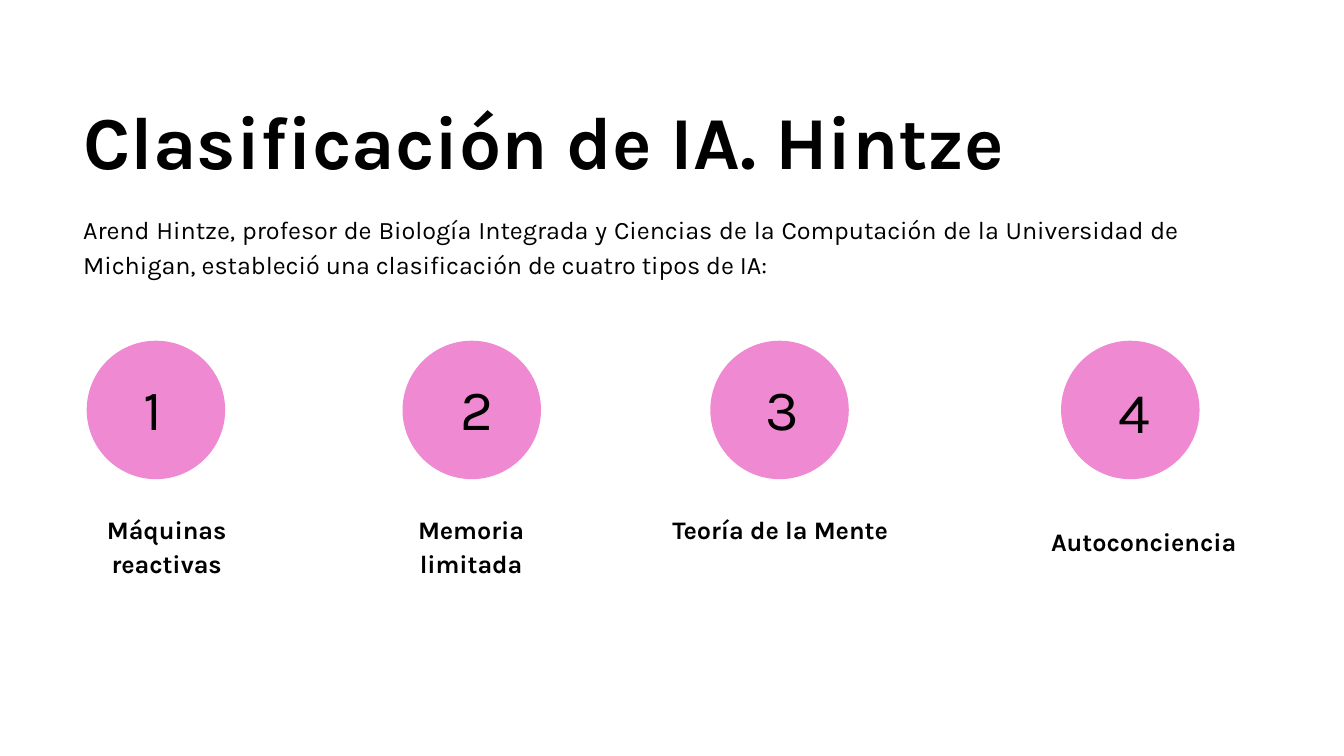
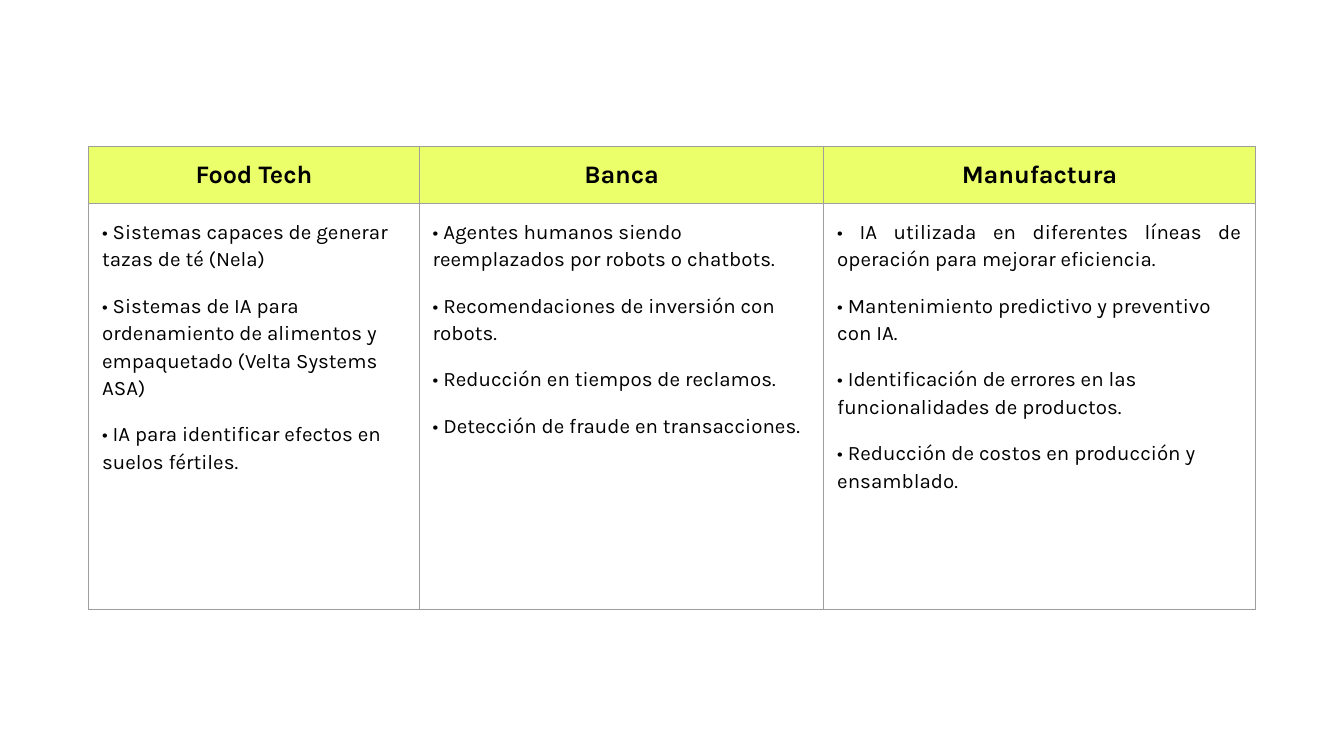
"""Build two slides: four types of AI, and AI uses by industry."""
from dataclasses import dataclass

from lxml.etree import SubElement
from pptx import Presentation
from pptx.dml.color import RGBColor
from pptx.enum.shapes import MSO_SHAPE as Preset
from pptx.enum.text import MSO_ANCHOR as Anchor, PP_ALIGN as Align
from pptx.oxml.ns import qn
from pptx.slide import Slide
from pptx.table import _Cell as Cell
from pptx.text.text import TextFrame
from pptx.util import Inches, Pt


@dataclass(frozen=True)
class Theme:
    font: str = "Karla"
    ink: str = "000000"
    paper: str = "FFFFFF"
    pink: str = "EF89D2"
    lime: str = "EAFF6A"
    border: str = "9E9E9E"
    title: float = 40
    number: float = 30.5
    body: float = 13.5
    item: float = 11
    hairline: float = 0.75
    leading: float = 1.15
    gap: float = 10
    inset: float = 0.1


@dataclass(frozen=True)
class Box:
    left: float
    top: float
    width: float
    height: float

    def lengths(self) -> tuple:
        return tuple(Inches(v) for v in (self.left, self.top, self.width, self.height))


@dataclass(frozen=True)
class AiType:
    name: str
    circle_left: float
    number: Box
    label: Box
    leading: float = 1.15


@dataclass(frozen=True)
class Industry:
    name: str
    width: float
    uses: tuple
    first_align: Align = Align.LEFT


THEME = Theme()
SLIDE_WIDTH = 10
SLIDE_HEIGHT = SLIDE_WIDTH * 9 / 16
CIRCLE_TOP, CIRCLE_SIZE = 2.54, 1.02
HEADER_HEIGHT, BODY_HEIGHT = 0.41, 3.02
TABLE_LEFT, TABLE_TOP = 0.66, 1.09

AI_TYPES = (
    AiType("Máquinas\nreactivas", 0.65, Box(0.97, 2.68, 0.49, 0.72),
           Box(0.59, 3.69, 1.3, 0.69)),
    AiType("Memoria limitada", 3, Box(3.33, 2.68, 0.58, 0.72),
           Box(2.92, 3.69, 1.17, 0.69)),
    AiType("Teoría de la Mente", 5.29, Box(5.6, 2.68, 0.49, 0.72),
           Box(4.74, 3.69, 2.13, 0.43)),
    AiType("Autoconciencia", 7.9, Box(8.22, 2.7, 0.49, 0.72),
           Box(7.56, 3.82, 1.9, 0.43), leading=1),
)

INDUSTRIES = (
    Industry("Food Tech", 2.46, (
        "Sistemas capaces de generar tazas de té (Nela)",
        "Sistemas de IA para ordenamiento de alimentos y empaquetado (Velta Systems ASA)",
        "IA para identificar efectos en suelos fértiles.",
    )),
    Industry("Banca", 3.01, (
        "Agentes humanos siendo reemplazados por robots o chatbots.",
        "Recomendaciones de inversión con robots.",
        "Reducción en tiempos de reclamos.",
        "Detección de fraude en transacciones.",
    )),
    Industry("Manufactura", 3.21, (
        "IA utilizada en diferentes líneas de operación para mejorar eficiencia.",
        "Mantenimiento predictivo y preventivo con IA.",
        "Identificación de errores en las funcionalidades de productos.",
        "Reducción de costos en producción y ensamblado.",
    ), first_align=Align.JUSTIFY),
)


def color(value: str) -> RGBColor:
    return RGBColor.from_string(value)


def write(frame: TextFrame, text: str, *, size: float = THEME.body, bold: bool = False,
          align: Align = Align.LEFT, leading: float = 1, gap: float = 0) -> None:
    for index, line in enumerate(text.split("\n")):
        paragraph = frame.paragraphs[0] if index == 0 else frame.add_paragraph()
        paragraph.alignment = align
        paragraph.line_spacing = leading
        if index and gap:
            paragraph.space_before = Pt(gap)
        run = paragraph.add_run()
        run.text = line
        run.font.name = THEME.font
        run.font.size = Pt(size)
        run.font.bold = bold
        run.font.color.rgb = color(THEME.ink)


def set_margins(target: TextFrame | Cell) -> None:
    inset = Inches(THEME.inset)
    target.margin_left = target.margin_right = inset
    target.margin_top = target.margin_bottom = inset


def add_text(slide: Slide, box: Box, text: str, **style) -> None:
    frame = slide.shapes.add_textbox(*box.lengths()).text_frame
    frame.word_wrap = True
    set_margins(frame)
    write(frame, text, **style)


def add_circle(slide: Slide, left: float) -> None:
    box = Box(left, CIRCLE_TOP, CIRCLE_SIZE, CIRCLE_SIZE)
    shape = slide.shapes.add_shape(Preset.OVAL, *box.lengths())
    shape.shadow.inherit = False
    shape.fill.solid()
    shape.fill.fore_color.rgb = color(THEME.pink)
    shape.line.color.rgb = color(THEME.pink)
    shape.line.width = Pt(THEME.hairline)


def format_cell(cell: Cell, fill: str) -> None:
    set_margins(cell)
    cell.vertical_anchor = Anchor.TOP
    properties = cell._tc.get_or_add_tcPr()
    for side in ("a:lnL", "a:lnR", "a:lnT", "a:lnB"):
        line = SubElement(properties, qn(side), w=str(Pt(THEME.hairline)))
        solid = SubElement(line, qn("a:solidFill"))
        SubElement(solid, qn("a:srgbClr"), val=THEME.border)
    cell.fill.solid()
    cell.fill.fore_color.rgb = color(fill)


def add_blank_slide(presentation: Presentation) -> Slide:
    slide = presentation.slides.add_slide(presentation.slide_layouts[6])
    slide.background.fill.solid()
    slide.background.fill.fore_color.rgb = color(THEME.paper)
    return slide


def build_types_slide(presentation: Presentation) -> None:
    slide = add_blank_slide(presentation)
    add_text(slide, Box(0.52, 0.51, 8.58, 0.76), "Clasificación de IA. Hintze",
             size=THEME.title, bold=True, leading=THEME.leading)
    for ai_type in AI_TYPES:
        add_circle(slide, ai_type.circle_left)
    for number, ai_type in enumerate(AI_TYPES, start=1):
        add_text(slide, ai_type.number, str(number), size=THEME.number)
    for ai_type in AI_TYPES:
        add_text(slide, ai_type.label, ai_type.name, bold=True,
                 align=Align.CENTER, leading=ai_type.leading)
    add_text(slide, Box(0.52, 1.46, 8.35, 0.69),
             "Arend Hintze, profesor de Biología Integrada y Ciencias de la Computación "
             "de la Universidad de Michigan, estableció una clasificación de cuatro tipos de IA:",
             align=Align.JUSTIFY, leading=THEME.leading)


def build_industries_slide(presentation: Presentation) -> None:
    slide = add_blank_slide(presentation)
    width = sum(industry.width for industry in INDUSTRIES)
    box = Box(TABLE_LEFT, TABLE_TOP, width, HEADER_HEIGHT + BODY_HEIGHT)
    table = slide.shapes.add_table(2, len(INDUSTRIES), *box.lengths()).table
    table.horz_banding = False
    table.rows[0].height = Inches(HEADER_HEIGHT)
    table.rows[1].height = Inches(BODY_HEIGHT)
    for column, industry in enumerate(INDUSTRIES):
        table.columns[column].width = Inches(industry.width)
        header, body = table.cell(0, column), table.cell(1, column)
        format_cell(header, THEME.lime)
        format_cell(body, THEME.paper)
        write(header.text_frame, industry.name, bold=True, align=Align.CENTER)
        write(body.text_frame, "\n".join(f"• {use}" for use in industry.uses),
              size=THEME.item, leading=THEME.leading, gap=THEME.gap)
        body.text_frame.paragraphs[0].alignment = industry.first_align


def main() -> None:
    presentation = Presentation()
    presentation.slide_width = Inches(SLIDE_WIDTH)
    presentation.slide_height = Inches(SLIDE_HEIGHT)
    build_types_slide(presentation)
    build_industries_slide(presentation)
    presentation.save("out.pptx")


if __name__ == "__main__":
    main()
